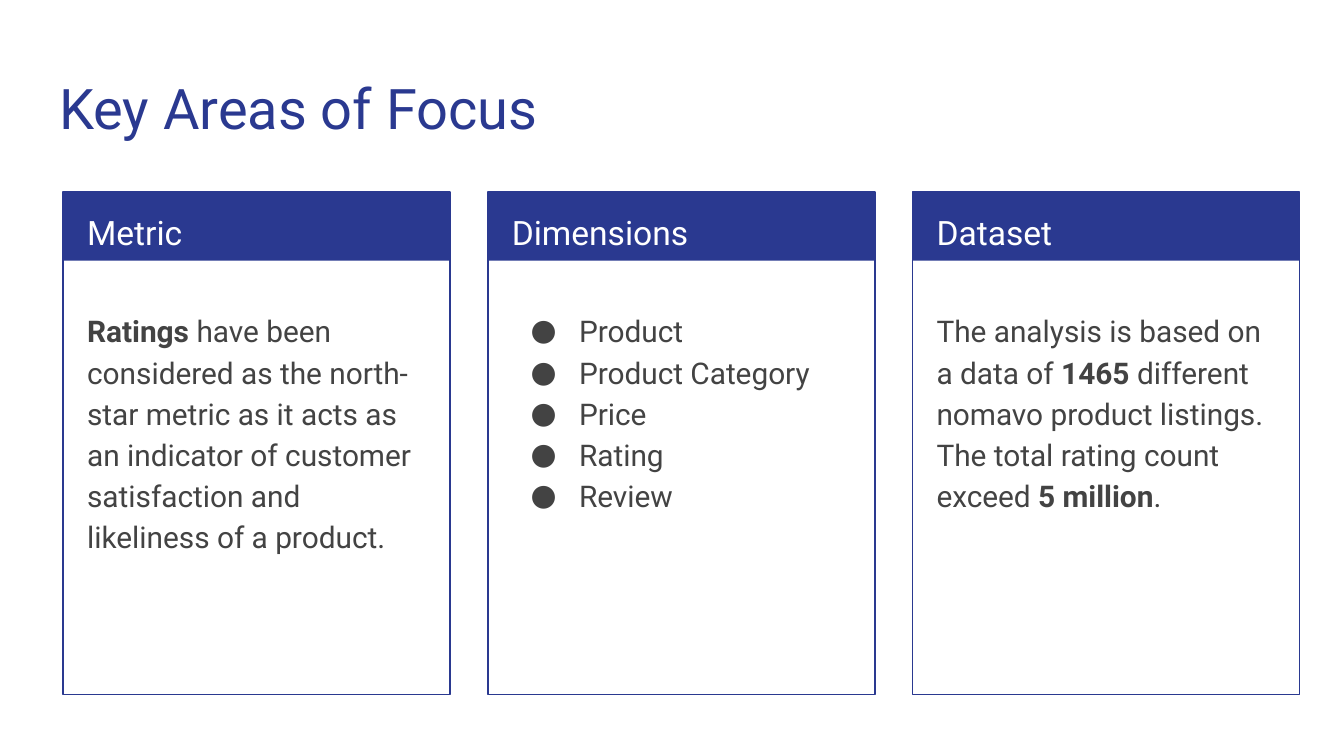
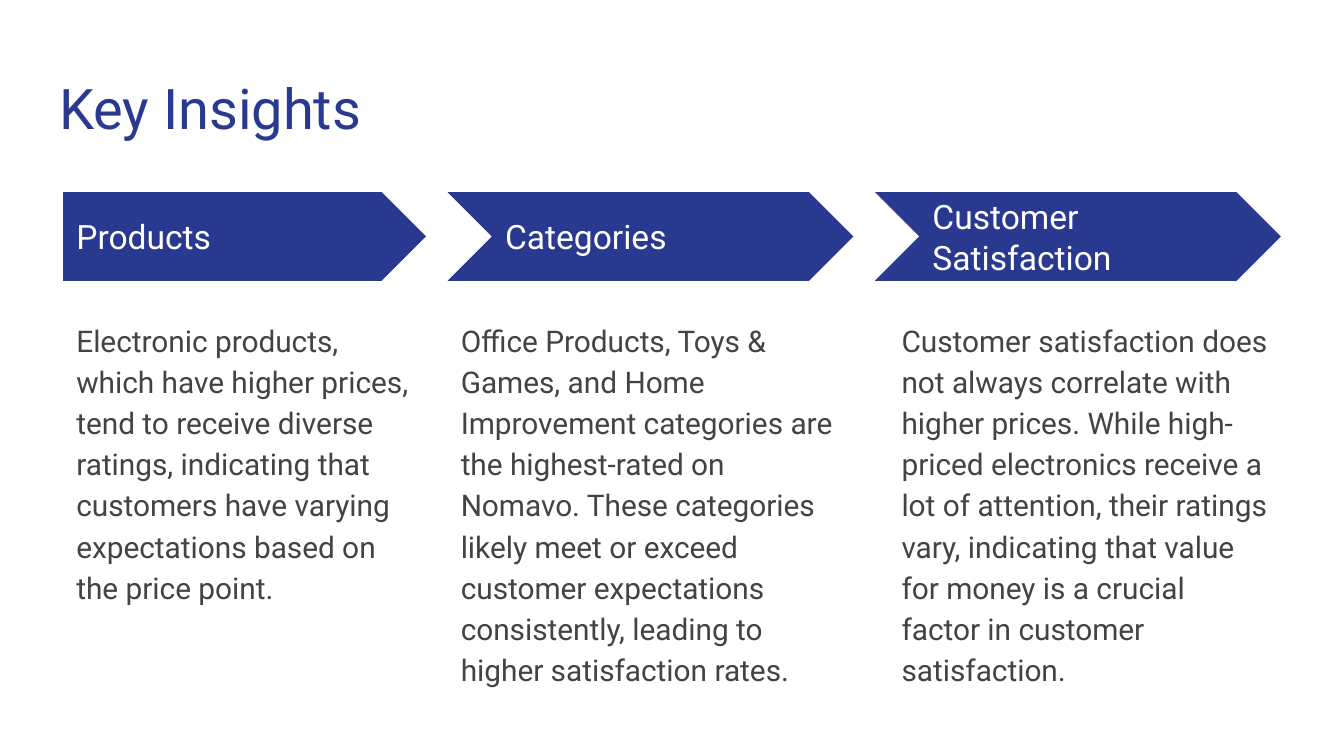
from lxml.etree import SubElement
from pptx import Presentation
from pptx.dml.color import RGBColor
from pptx.enum.shapes import MSO_SHAPE
from pptx.enum.text import MSO_ANCHOR, MSO_AUTO_SIZE, PP_ALIGN
from pptx.oxml.ns import qn
from pptx.util import Inches, Pt

COLORS = {"navy": "2A3990", "text": "434343", "white": "FFFFFF"}
FONT = "Roboto"
FORMATS = {
    "title": {"size": Pt(30), "color": "navy"},
    "heading": {"size": Pt(18), "color": "white"},
    "body": {"size": Pt(16), "color": "text"},
}
TOP = 1.43


class Deck:
    """Holds the style and the current slide."""

    def __init__(self):
        self.presentation = Presentation()
        # Widescreen, 16 to 9
        self.presentation.slide_width = Inches(10)
        self.presentation.slide_height = Inches(10) * 9 // 16
        self.slide = None

    def color(self, name):
        return RGBColor.from_string(COLORS[name])

    def add_slide(self, title):
        layout = self.presentation.slide_layouts[5]
        self.slide = self.presentation.slides.add_slide(layout)
        shape = self.slide.shapes.title
        box = {"left": 0.34, "top": 0.45, "width": 9.32, "height": 0.66}
        for name, value in box.items():
            setattr(shape, name, Inches(value))
        self.fill_text(shape, [[title]], "title")

    def fill_text(self, shape, paragraphs, style, anchor=MSO_ANCHOR.TOP, bullets=False, **spacing):
        """Each paragraph is a list of runs; every second run is bold."""
        frame = shape.text_frame
        settings = {"word_wrap": True, "auto_size": MSO_AUTO_SIZE.NONE, "vertical_anchor": anchor}
        settings.update({f"margin_{side}": Inches(0.1) for side in ("left", "top", "right", "bottom")})
        for name, value in settings.items():
            setattr(frame, name, value)
        for index, runs in enumerate(paragraphs):
            paragraph = frame.add_paragraph() if index else frame.paragraphs[0]
            paragraph.alignment = PP_ALIGN.LEFT
            for name, value in spacing.items():
                setattr(paragraph, name, value)
            if bullets:
                self.add_bullet(paragraph)
            for position, text in enumerate(runs):
                if text:
                    self.add_run(paragraph, text, style, bold=position % 2 == 1)

    def add_run(self, paragraph, text, style, bold):
        run = paragraph.add_run()
        run.text = text
        values = {"name": FONT, "size": FORMATS[style]["size"], "bold": bold}
        for name, value in values.items():
            setattr(run.font, name, value)
        run.font.color.rgb = self.color(FORMATS[style]["color"])

    def add_bullet(self, paragraph):
        properties = paragraph._p.get_or_add_pPr()
        properties.set("marL", str(Inches(0.5)))
        properties.set("indent", str(Inches(-0.36)))
        bullet_color = SubElement(properties, qn("a:buClr"))
        SubElement(bullet_color, qn("a:srgbClr"), val=COLORS["text"])
        SubElement(properties, qn("a:buFont"), typeface=FONT)
        SubElement(properties, qn("a:buChar"), char="●")

    def add_text(self, left, top, width, height, paragraphs, style, **options):
        shape = self.slide.shapes.add_textbox(*map(Inches, (left, top, width, height)))
        self.fill_text(shape, paragraphs, style, **options)

    def add_shape(self, kind, left, top, width, height, filled=True):
        shape = self.slide.shapes.add_shape(kind, *map(Inches, (left, top, width, height)))
        shape.shadow.inherit = False
        if filled:
            shape.fill.solid()
            shape.fill.fore_color.rgb = self.color("navy")
            shape.line.fill.background()
        else:
            shape.fill.background()
            shape.line.color.rgb = self.color("navy")
            shape.line.width = Pt(0.75)

    def add_card(self, left, heading, paragraphs, **options):
        self.add_shape(MSO_SHAPE.RECTANGLE, left, TOP, 2.88, 0.51)
        self.add_shape(MSO_SHAPE.RECTANGLE, left, TOP, 2.88, 3.74, filled=False)
        self.add_text(left + 0.08, TOP, 2.73, 0.5, [[heading]], "heading", line_spacing=1.15)
        self.add_text(left + 0.08, 2.19, 2.71, 3.06, paragraphs, "body", line_spacing=1.15, **options)

    def add_step(self, kind, left, width, heading, body, body_left, body_width):
        height = 0.66
        notch = height / 2 if kind == MSO_SHAPE.CHEVRON else 0
        self.add_shape(kind, left, TOP, width, height)
        self.add_text(left + notch, 1.59, 2.47, 0.34, [[heading]], "heading", anchor=MSO_ANCHOR.MIDDLE)
        self.add_text(body_left, 2.26, body_width, 2.9, [[body]], "body",
                      line_spacing=1.15, space_after=Pt(8))


def build_focus(deck):
    deck.add_slide("Key Areas of Focus")
    dimensions = ["Product", "Product Category", "Price", "Rating", "Review"]
    after = {"space_after": Pt(16)}
    cards = [
        ("Metric", [["", "Ratings ", "have been considered as the north-star metric as it acts as "
                     "an indicator of customer satisfaction and likeliness of a product."]], after),
        ("Dimensions", [[name] for name in dimensions], {"bullets": True}),
        ("Dataset", [["The analysis is based on a data of ", "1465 ",
                      "different nomavo product listings. The total rating count exceed ",
                      "5 million", "."]], after),
    ]
    for index, (heading, paragraphs, options) in enumerate(cards):
        deck.add_card(0.47 + index * 3.16, heading, paragraphs, **options)


def build_insights(deck):
    deck.add_slide("Key Insights")
    # Arrow kind, left, width, heading, body, body left, body width
    steps = [
        (MSO_SHAPE.PENTAGON, 0.47, 2.7, "Products",
         "Electronic products, which have higher prices, tend to receive diverse ratings, "
         "indicating that customers have varying expectations based on the price point.", 0.47, 2.7),
        (MSO_SHAPE.CHEVRON, 3.33, 3.02, "Categories",
         "Office Products, Toys & Games, and Home Improvement categories are the highest-rated "
         "on Nomavo. These categories likely meet or exceed customer expectations consistently, "
         "leading to higher satisfaction rates.", 3.33, 3.02),
        (MSO_SHAPE.CHEVRON, 6.51, 3.02, "Customer Satisfaction",
         "Customer satisfaction does not always correlate with higher prices. While high-priced "
         "electronics receive a lot of attention, their ratings vary, indicating that value for "
         "money is a crucial factor in customer satisfaction.", 6.61, 2.93),
    ]
    for step in steps:
        deck.add_step(*step)


def main():
    deck = Deck()
    build_focus(deck)
    build_insights(deck)
    deck.presentation.save("out.pptx")


if __name__ == "__main__":
    main()
